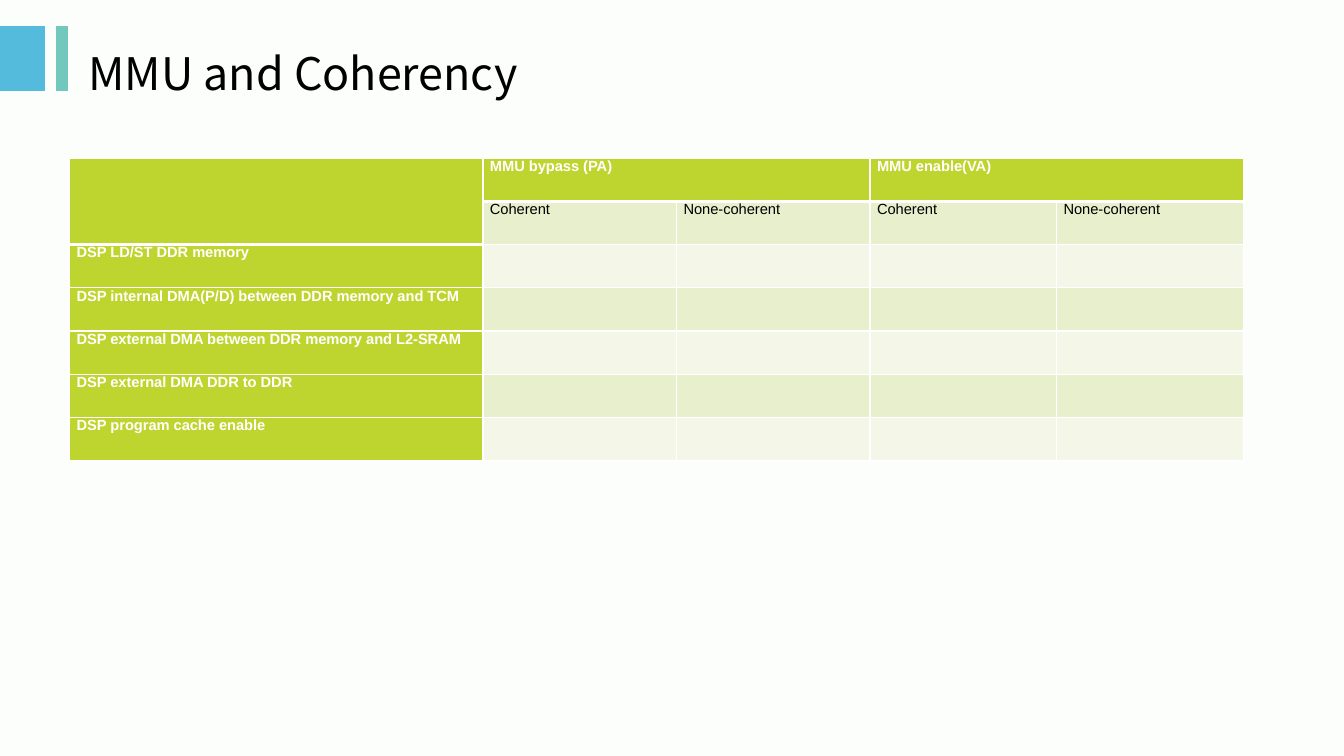
from dataclasses import dataclass
from lxml import etree
from pptx import Presentation
from pptx.dml.color import RGBColor
from pptx.enum.shapes import MSO_SHAPE
from pptx.enum.text import MSO_ANCHOR, PP_ALIGN
from pptx.oxml.ns import qn
from pptx.util import Inches, Pt

RECT = MSO_SHAPE.RECTANGLE
MIDDLE = MSO_ANCHOR.MIDDLE
JUSTIFY = PP_ALIGN.JUSTIFY


@dataclass(frozen=True)
class Theme:
    back: str = "FCFEFC"
    blue: str = "54BBDC"
    teal: str = "73C8BE"
    green: str = "BED52F"
    band: str = "E8EFCD"
    pale: str = "F4F7E8"
    white: str = "FFFFFF"
    black: str = "000000"
    head: str = "Noto Sans CJK SC"
    body: str = "Arial"
    large: float = 32
    small: float = 10.5


theme = Theme()


def write(para, text, font, size, color, bold=False):
    run = para.add_run()
    run.text = text
    run.font.name = font
    run.font.size = Pt(size)
    run.font.bold = bold
    run.font.color.rgb = RGBColor.from_string(color)


def edge(cell, side, width):
    props = cell._tc.get_or_add_tcPr()
    line = etree.SubElement(props, qn(f"a:ln{side}"), w=str(Pt(width)))
    fill = etree.SubElement(line, qn("a:solidFill"))
    etree.SubElement(fill, qn("a:srgbClr"), val=theme.white)


deck = Presentation()
deck.slide_width = Inches(13.33)
deck.slide_height = Inches(7.5)
slide = deck.slides.add_slide(deck.slide_layouts[6])
slide.background.fill.solid()
slide.background.fill.fore_color.rgb = RGBColor.from_string(theme.back)

for left, width, color in [(0, 0.44, theme.blue), (0.56, 0.11, theme.teal)]:
    bar = slide.shapes.add_shape(RECT, Inches(left), Inches(0.26), Inches(width), Inches(0.64))
    bar.shadow.inherit = False
    bar.fill.solid()
    bar.fill.fore_color.rgb = RGBColor.from_string(color)
    bar.line.color.rgb = RGBColor.from_string(color)
    bar.line.width = Pt(0.75)

title = slide.shapes.add_textbox(Inches(0.78), Inches(0.26), Inches(11.88), Inches(0.92))
title.text_frame.word_wrap = True
title.text_frame.vertical_anchor = MIDDLE
write(title.text_frame.paragraphs[0], "MMU and Coherency", theme.head, theme.large, theme.black)

rows = [
    ["", "MMU bypass (PA)", "", "MMU enable(VA)", ""],
    ["", "Coherent", "None-coherent", "Coherent", "None-coherent"],
    ["DSP LD/ST DDR memory"],
    ["DSP internal DMA(P/D) between DDR memory and TCM"],
    ["DSP external DMA between DDR memory and L2-SRAM"],
    ["DSP external DMA DDR to DDR"],
    ["DSP program cache enable"],
]
widths = [4.1, 1.92, 1.92, 1.85, 1.85]
frame = slide.shapes.add_table(
    len(rows), len(widths), Inches(0.69), Inches(1.57), Inches(sum(widths)), Inches(3)
)
table = frame.table
for col, width in zip(table.columns, widths):
    col.width = Inches(width)

for r, texts in enumerate(rows):
    table.rows[r].height = Inches(3 / len(rows))
    for c in range(len(widths)):
        cell = table.cell(r, c)
        last = 1 if c == 0 else 0
        edge(cell, "L", 1)
        edge(cell, "R", 1)
        edge(cell, "T", 3 if r == last + 1 else 1)
        edge(cell, "B", 3 if r == last else 1)
        key = r == 0 or c == 0
        color = theme.green if key else theme.band if r % 2 else theme.pale
        cell.fill.solid()
        cell.fill.fore_color.rgb = RGBColor.from_string(color)
        cell.margin_left = cell.margin_right = Inches(0.07)
        cell.margin_top = cell.margin_bottom = 0
        if c < len(texts) and texts[c]:
            para = cell.text_frame.paragraphs[0]
            para.alignment = JUSTIFY
            ink = theme.white if key else theme.black
            write(para, texts[c], theme.body, theme.small, ink, key)

for top, left, low, right in [(0, 0, 1, 0), (0, 1, 0, 2), (0, 3, 0, 4)]:
    table.cell(top, left).merge(table.cell(low, right))

deck.save("out.pptx")
